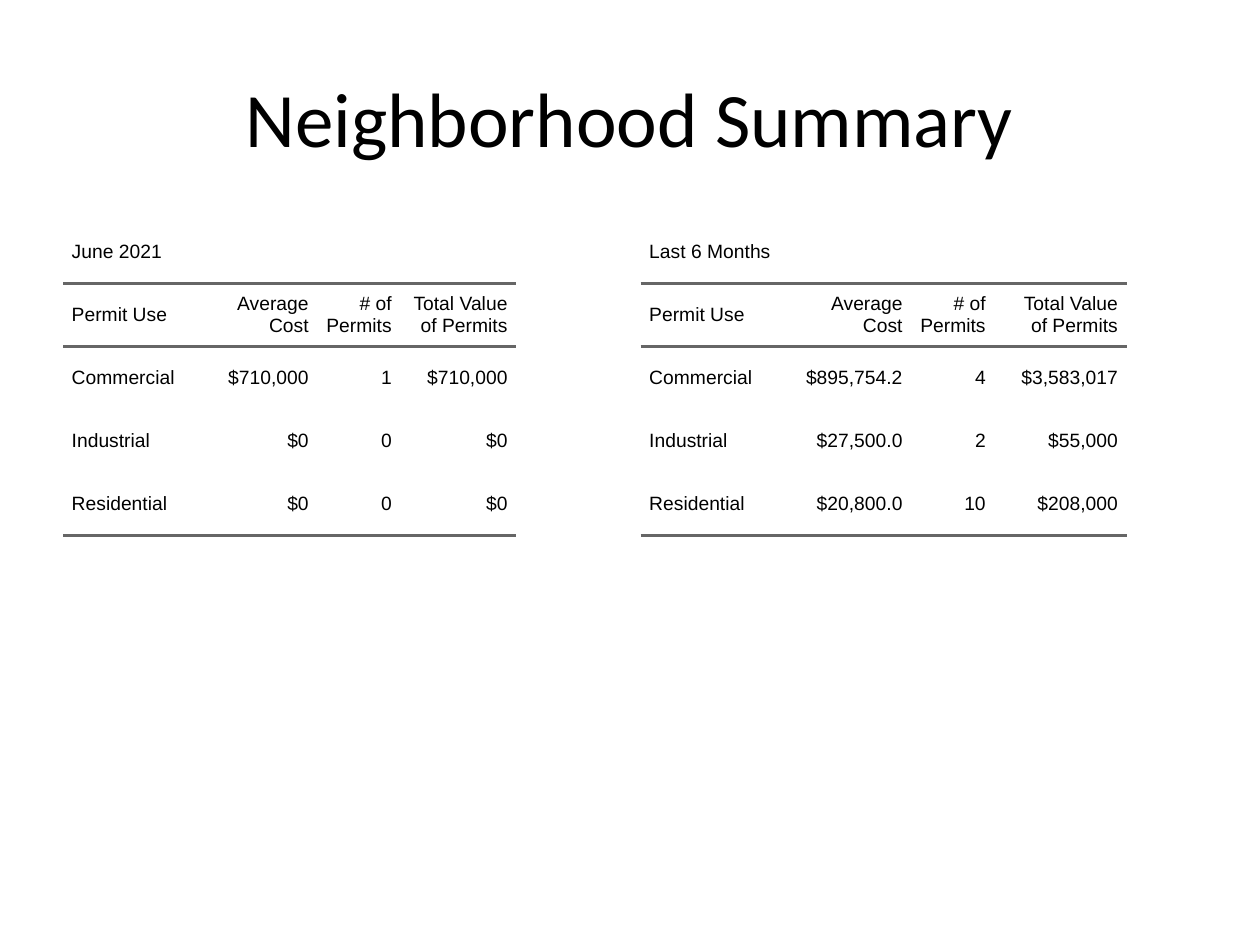
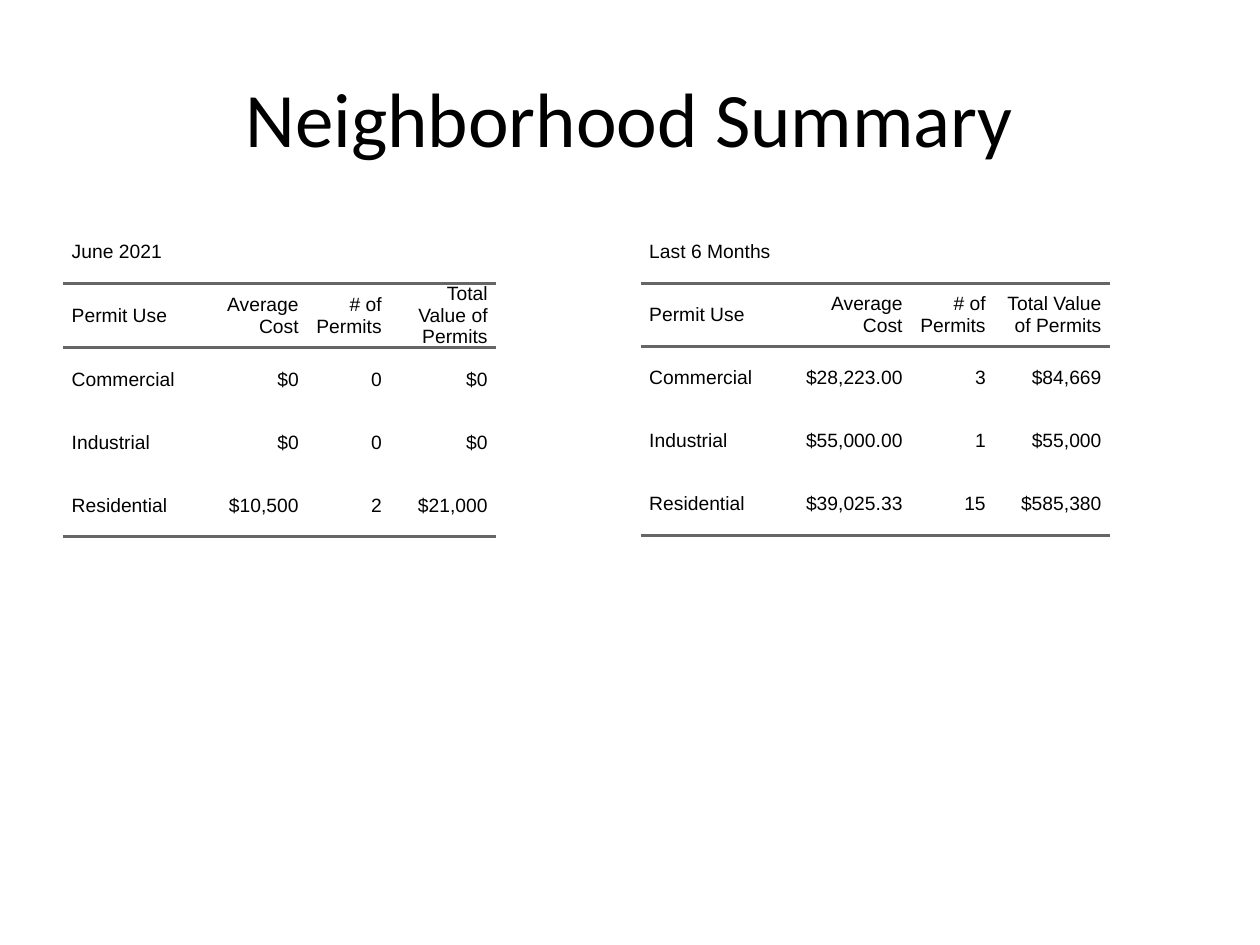
from lxml import etree
from pptx import Presentation
from pptx.dml.color import RGBColor
from pptx.enum.text import MSO_ANCHOR, PP_ALIGN
from pptx.oxml.ns import qn
from pptx.util import Pt

LEFT, RIGHT, MID = PP_ALIGN.LEFT, PP_ALIGN.RIGHT, PP_ALIGN.CENTER
CENTER = MSO_ANCHOR.MIDDLE
HUES = {"text": "000000", "rule": "666666"}
PLAIN = "{2D5ABB26-0587-4C30-8999-92F81FD0307C}"
HEADS = ["Permit Use", "Average Cost", "# of Permits", "Total Value of Permits"]
USES = ["Commercial", "Industrial", "Residential"]
SPANS = [("June 2021", 36), ("Last 6 Months", 366)]
RULES = {1: ["lnT", "lnB"], 4: ["lnB"]}
PAD = Pt(5)

PAGES = [
    [
        ([79.2, 66.2, 47.5, 66.2],
         [["$710,000", "1", "$710,000"], ["$0", "0", "$0"], ["$0", "0", "$0"]]),
        ([79.2, 75.6, 47.5, 75.6],
         [["$895,754.2", "4", "$3,583,017"], ["$27,500.0", "2", "$55,000"],
          ["$20,800.0", "10", "$208,000"]]),
    ],
    [
        ([79.2, 60.5, 47.5, 60.5],
         [["$0", "0", "$0"], ["$0", "0", "$0"], ["$10,500", "2", "$21,000"]]),
        ([79.2, 75.6, 47.5, 66.2],
         [["$28,223.00", "3", "$84,669"], ["$55,000.00", "1", "$55,000"],
          ["$39,025.33", "15", "$585,380"]]),
    ],
]


def write(para, text, font, size, align):
    para.alignment = align
    run = para.add_run()
    run.text = text
    run.font.name = font
    run.font.size = Pt(size)
    run.font.color.rgb = RGBColor.from_string(HUES["text"])


def rule(cell, side):
    line = etree.SubElement(cell._tc.get_or_add_tcPr(), qn("a:" + side), w=str(Pt(2)))
    fill = etree.SubElement(line, qn("a:solidFill"))
    etree.SubElement(fill, qn("a:srgbClr"), val=HUES["rule"])


deck = Presentation()
deck.slide_width, deck.slide_height = Pt(720), Pt(540)

for page in PAGES:
    slide = deck.slides.add_slide(deck.slide_layouts[5])
    title = slide.shapes.title
    title.left, title.top, title.width, title.height = Pt(36), Pt(21.6), Pt(648), Pt(90)
    title.text_frame.vertical_anchor = CENTER
    write(title.text_frame.paragraphs[0], "Neighborhood Summary", "Calibri", 44, MID)

    for (span, left), (widths, values) in zip(SPANS, page):
        rows = [[span], HEADS] + [[use] + vals for use, vals in zip(USES, values)]
        frame = slide.shapes.add_table(len(rows), len(HEADS), Pt(left), Pt(126), Pt(318), Pt(180))
        grid = frame.table
        grid.first_row = grid.horz_banding = False
        grid._tbl.tblPr.find(qn("a:tableStyleId")).text = PLAIN
        for col, width in zip(grid.columns, widths):
            col.width = Pt(width)
        for row in grid.rows:
            row.height = Pt(36)
        frame.width, frame.height = Pt(318), Pt(356.4)
        grid.cell(0, 0).merge(grid.cell(0, len(HEADS) - 1))

        for r, texts in enumerate(rows):
            for c, text in enumerate(texts):
                cell = grid.cell(r, c)
                cell.margin_left = cell.margin_right = 0
                cell.margin_top = cell.margin_bottom = 0
                cell.vertical_anchor = CENTER
                for side in RULES.get(r, []):
                    rule(cell, side)
                cell.fill.background()
                para = cell.text_frame.paragraphs[0]
                para.space_after = PAD
                props = para._p.get_or_add_pPr()
                props.set("marL", str(PAD))
                props.set("marR", str(PAD))
                props.set("indent", "0")
                write(para, text, "Arial", 11, RIGHT if c else LEFT)

deck.save("out.pptx")
